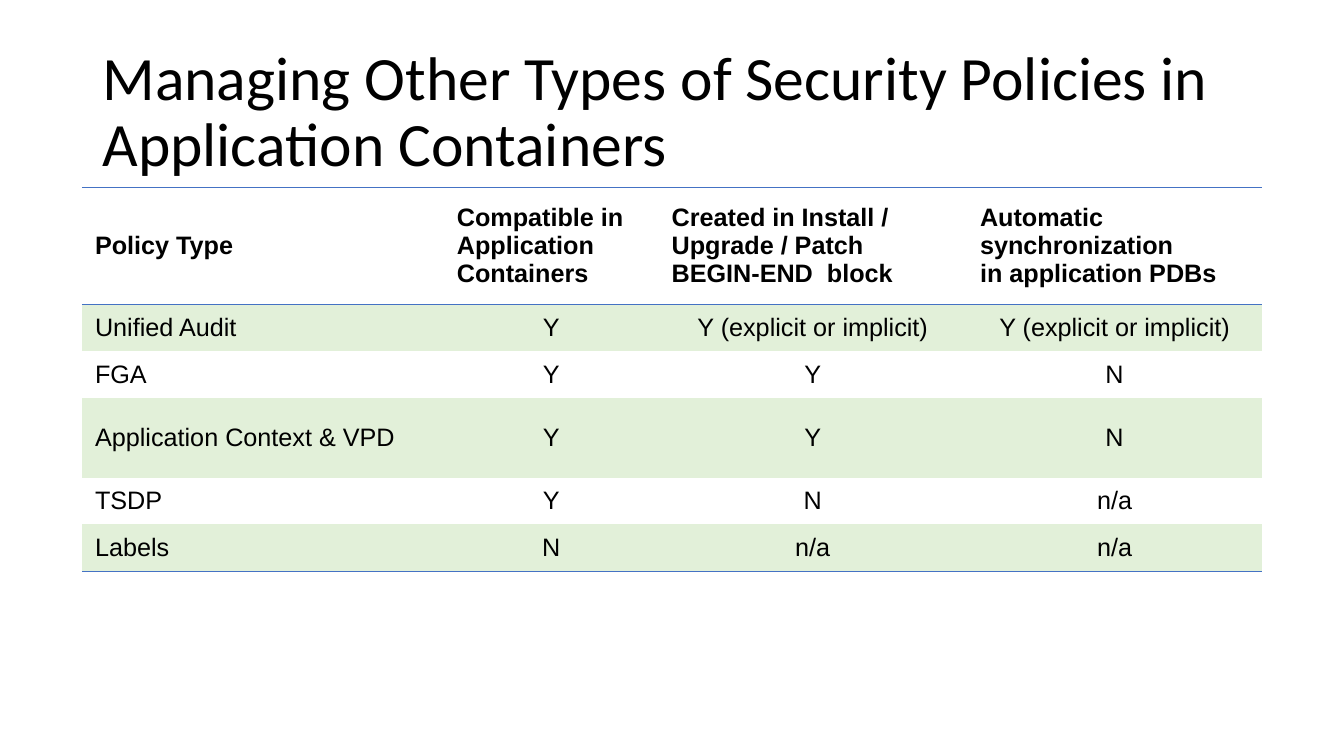
from dataclasses import dataclass
from lxml import etree
from pptx import Presentation
from pptx.dml.color import RGBColor
from pptx.enum.text import MSO_ANCHOR, MSO_AUTO_SIZE, PP_ALIGN
from pptx.oxml.ns import qn
from pptx.util import Pt

LEFT, CENTER = PP_ALIGN.LEFT, PP_ALIGN.CENTER
MIDDLE = MSO_ANCHOR.MIDDLE
NO_FIT = MSO_AUTO_SIZE.NONE
NO_GRID = "{2D5ABB26-0587-4C30-8999-92F81FD0307C}"


@dataclass(frozen=True)
class Theme:
    ink: str = "000000"
    band: str = "E2F0D9"
    rule: str = "4472C4"
    head: str = "Calibri"
    body: str = "Arial"
    big: int = 44
    small: int = 18


theme = Theme()


def style(para, face, size, bold, align):
    para.alignment = align
    font = para.font
    font.name, font.size, font.bold = face, Pt(size), bold
    font.color.rgb = RGBColor.from_string(theme.ink)


def border(cell, side):
    props = cell._tc.get_or_add_tcPr()
    line = etree.SubElement(props, qn("a:ln" + side), w=str(Pt(1)))
    fill = etree.SubElement(line, qn("a:solidFill"))
    etree.SubElement(fill, qn("a:srgbClr"), val=theme.rule)


deck = Presentation()
deck.slide_width, deck.slide_height = Pt(960), Pt(540)
slide = deck.slides.add_slide(deck.slide_layouts[5])

title = slide.shapes.title
title.left, title.top, title.width, title.height = Pt(66), Pt(28.8), Pt(828), Pt(104.4)
frame = title.text_frame
frame.text = "Managing Other Types of Security Policies in Application Containers"
frame.auto_size = NO_FIT
frame.vertical_anchor = MIDDLE
frame.paragraphs[0].line_spacing = 0.9
style(frame.paragraphs[0], theme.head, theme.big, False, LEFT)

rows = [
    ["Policy Type", "Compatible in Application Containers",
     "Created in Install / Upgrade / Patch\nBEGIN-END  block",
     "Automatic synchronization\nin application PDBs"],
    ["Unified Audit", "Y", "Y (explicit or implicit)", "Y (explicit or implicit)"],
    ["FGA", "Y", "Y", "N"],
    ["Application Context & VPD", "Y", "Y", "N"],
    ["TSDP", "Y", "N", "n/a"],
    ["Labels", "N", "n/a", "n/a"],
]
widths = [258.5, 153.4, 220.3, 211]
heights = [83.5, 33.4, 33.4, 56.9, 33.4, 33.4]

holder = slide.shapes.add_table(len(rows), len(widths), Pt(58.5), Pt(134),
                                Pt(sum(widths)), Pt(sum(heights)))
table = holder.table
table.first_row = table.horz_banding = False
table._tbl.tblPr.find(qn("a:tableStyleId")).text = NO_GRID
for col, width in zip(table.columns, widths):
    col.width = Pt(width)
for row, height in zip(table.rows, heights):
    row.height = Pt(height)

for r, words in enumerate(rows):
    top, last = r == 0, r == len(rows) - 1
    for c, text in enumerate(words):
        cell = table.cell(r, c)
        cell.text = text
        cell.vertical_anchor = MIDDLE
        cell.margin_left = cell.margin_right = Pt(9.4)
        cell.margin_top = cell.margin_bottom = Pt(0 if top else 3.6)
        if top:
            border(cell, "T")
        if top or last:
            border(cell, "B")
        if r % 2:
            cell.fill.solid()
            cell.fill.fore_color.rgb = RGBColor.from_string(theme.band)
        else:
            cell.fill.background()
        for para in cell.text_frame.paragraphs:
            style(para, theme.body, theme.small, top, LEFT if top or c == 0 else CENTER)

deck.save("out.pptx")
